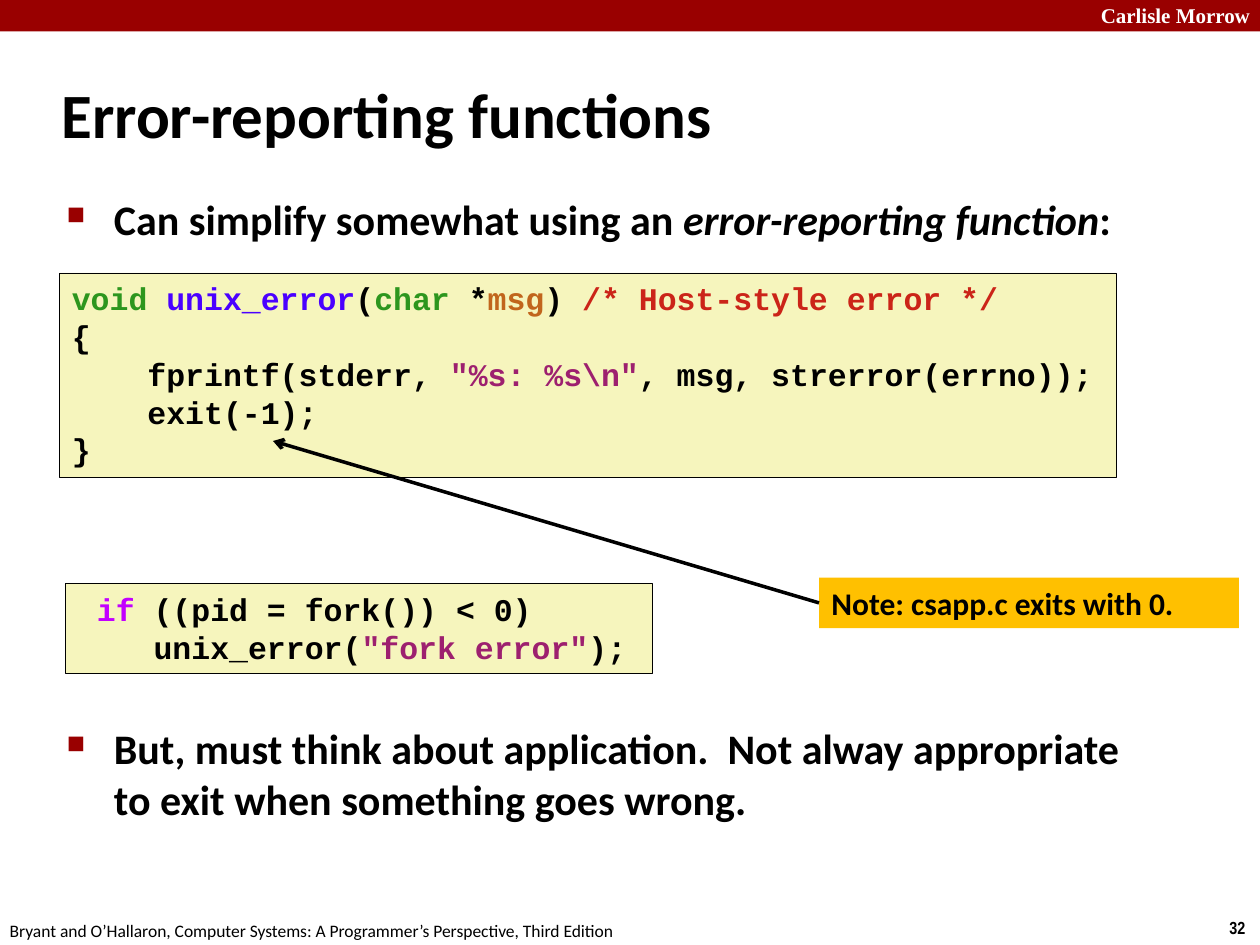
import pptx
import pptx.util
import pptx.dml.color
import pptx.enum.shapes
import pptx.enum.text
import pptx.oxml
import pptx.oxml.ns
from dataclasses import dataclass

Pt = pptx.util.Pt
Align = pptx.enum.text.PP_ALIGN
Anchor = pptx.enum.text.MSO_ANCHOR
Shape = pptx.enum.shapes.MSO_SHAPE


@dataclass(frozen=True)
class Theme:
    red: str = "990000"
    white: str = "FFFFFF"
    black: str = "000000"
    cream: str = "F6F5BD"
    gold: str = "FFC000"
    green: str = "2D961E"
    blue: str = "4A00FF"
    brown: str = "C1651C"
    rust: str = "CB2418"
    plum: str = "9D206F"
    violet: str = "C200FF"
    title: int = 36
    body: int = 24
    code: int = 18
    brand: int = 12
    foot: int = 10
    sans: str = "Calibri"
    mono: str = "Courier New"
    serif: str = "Times New Roman"
    narrow: str = "Arial Narrow"


THEME = Theme()


def rgb(value):
    return pptx.dml.color.RGBColor.from_string(value)


def assign(target, values):
    for name, value in values.items():
        setattr(target, name, value)


def add_xml(parent, tag, **attrs):
    node = pptx.oxml.parse_xml(f"<a:{tag} {pptx.oxml.ns.nsdecls('a')}/>")
    for name, value in attrs.items():
        node.set(name, value)
    parent.append(node)
    return node


def write(shape, lines, font, color=THEME.black, frame=None, para=None):
    text = shape.text_frame
    assign(text, {"word_wrap": True, "vertical_anchor": Anchor.TOP, **(frame or {})})
    for index, line in enumerate(lines):
        item = text.add_paragraph() if index else text.paragraphs[0]
        assign(item, {"alignment": Align.LEFT, **(para or {})})
        for words, change in line:
            run = item.add_run()
            run.text = words
            form = {**font, **change}
            run.font.color.rgb = rgb(form.pop("color", color))
            assign(run.font, form)


def add_text(slide, box, lines, font, **style):
    shape = slide.shapes.add_textbox(*map(Pt, box))
    write(shape, lines, font, **style)
    return shape


def add_box(slide, box, fill, line=None):
    shape = slide.shapes.add_shape(Shape.RECTANGLE, *map(Pt, box))
    shape.shadow.inherit = False
    shape.fill.solid()
    shape.fill.fore_color.rgb = rgb(fill)
    if line:
        shape.line.color.rgb = rgb(line)
        shape.line.width = Pt(0.25)
    else:
        shape.line.fill.background()
    return shape


def add_code(slide, box, lines):
    shape = add_box(slide, box, THEME.cream, THEME.black)
    font = {"name": THEME.mono, "size": Pt(THEME.code), "bold": True}
    write(shape, lines, font, frame={"word_wrap": False})


def add_point(slide, top, line):
    font = {"name": THEME.sans, "size": Pt(THEME.body), "bold": True}
    shape = add_text(slide, (31, top, 622, 66), [line], font,
                     para={"space_before": Pt(4.8)})
    props = shape.text_frame.paragraphs[0]._p.get_or_add_pPr()
    indent = Pt(27)
    props.set("marL", str(indent))
    props.set("indent", str(-indent))
    add_xml(add_xml(props, "buClr"), "srgbClr", val=THEME.red)
    add_xml(props, "buSzPct", val="60000")
    add_xml(props, "buChar", char="■")


def add_arrow(slide, source, side, tip):
    kind = pptx.enum.shapes.MSO_CONNECTOR.STRAIGHT
    arrow = slide.shapes.add_connector(kind, 0, 0, *map(Pt, tip))
    arrow.begin_connect(source, side)
    arrow.line.color.rgb = rgb(THEME.black)
    arrow.line.width = Pt(2)
    add_xml(arrow.line._get_or_add_ln(), "tailEnd", type="arrow")
    add_xml(arrow._element.spPr, "effectLst")


def add_frame(slide):
    add_box(slide, (0, 0, 720, 18), THEME.red)
    add_text(slide, (600, -2, 121.5, 22), [[("Carlisle Morrow", {})]],
             {"name": THEME.serif, "size": Pt(THEME.brand), "bold": True},
             color=THEME.white, para={"alignment": Align.RIGHT})
    add_text(slide, (695.5, 520.5, 24.5, 19.5), [[("32", {})]],
             {"name": THEME.narrow, "size": Pt(THEME.foot), "bold": True},
             frame={"word_wrap": False})
    credit = ("Bryant and O’Hallaron, Computer Systems: "
              "A Programmer’s Perspective, Third Edition")
    add_text(slide, (-1.5, 522, 366, 19.5), [[(credit, {})]],
             {"name": THEME.sans, "size": Pt(THEME.foot)},
             frame={"word_wrap": False})


def main():
    deck = pptx.Presentation()
    assign(deck, {"slide_width": Pt(720), "slide_height": Pt(540)})
    slide = deck.slides.add_slide(deck.slide_layouts[6])
    green, blue, brown, rust, plum, violet = (
        {"color": tone} for tone in (THEME.green, THEME.blue, THEME.brown,
                                     THEME.rust, THEME.plum, THEME.violet))

    add_frame(slide)
    add_text(slide, (28, 34.5, 598, 60), [[("Error-reporting functions", {})]],
             {"name": THEME.sans, "size": Pt(THEME.title), "bold": True},
             frame={"vertical_anchor": Anchor.MIDDLE})
    add_point(slide, 107, [("Can simplify somewhat using an ", {}),
                           ("error-reporting function", {"italic": True}),
                           (":", {})])
    add_point(slide, 409.5, [("But, must think about application.  Not alway "
                              "appropriate to exit when something goes wrong.", {})])
    add_code(slide, (34, 156, 604, 116.5), [
        [("void ", green), ("unix_error", blue), ("(", {}), ("char", green),
         (" *", {}), ("msg", brown), (") ", {}), ("/* Host-style error */", rust)],
        [("{", {})],
        [("    fprintf(stderr, ", {}), ('"%s: %s\\n"', plum),
         (", msg, strerror(errno));", {})],
        [("    exit(-1);", {})],
        [("}", {})],
    ])
    add_code(slide, (37.5, 333.5, 335, 51), [
        [(" ", {}), ("if", violet), (" ((pid = fork()) < 0)", {})],
        [("    unix_error(", {}), ('"fork error"', plum), (");", {})],
    ])
    note = add_box(slide, (468, 330, 240, 29), THEME.gold)
    write(note, [[("Note: csapp.c exits with 0.", {})]],
          {"name": THEME.sans, "size": Pt(THEME.code), "bold": True})
    add_arrow(slide, note, 1, (156, 252))
    deck.save("out.pptx")


if __name__ == "__main__":
    main()
